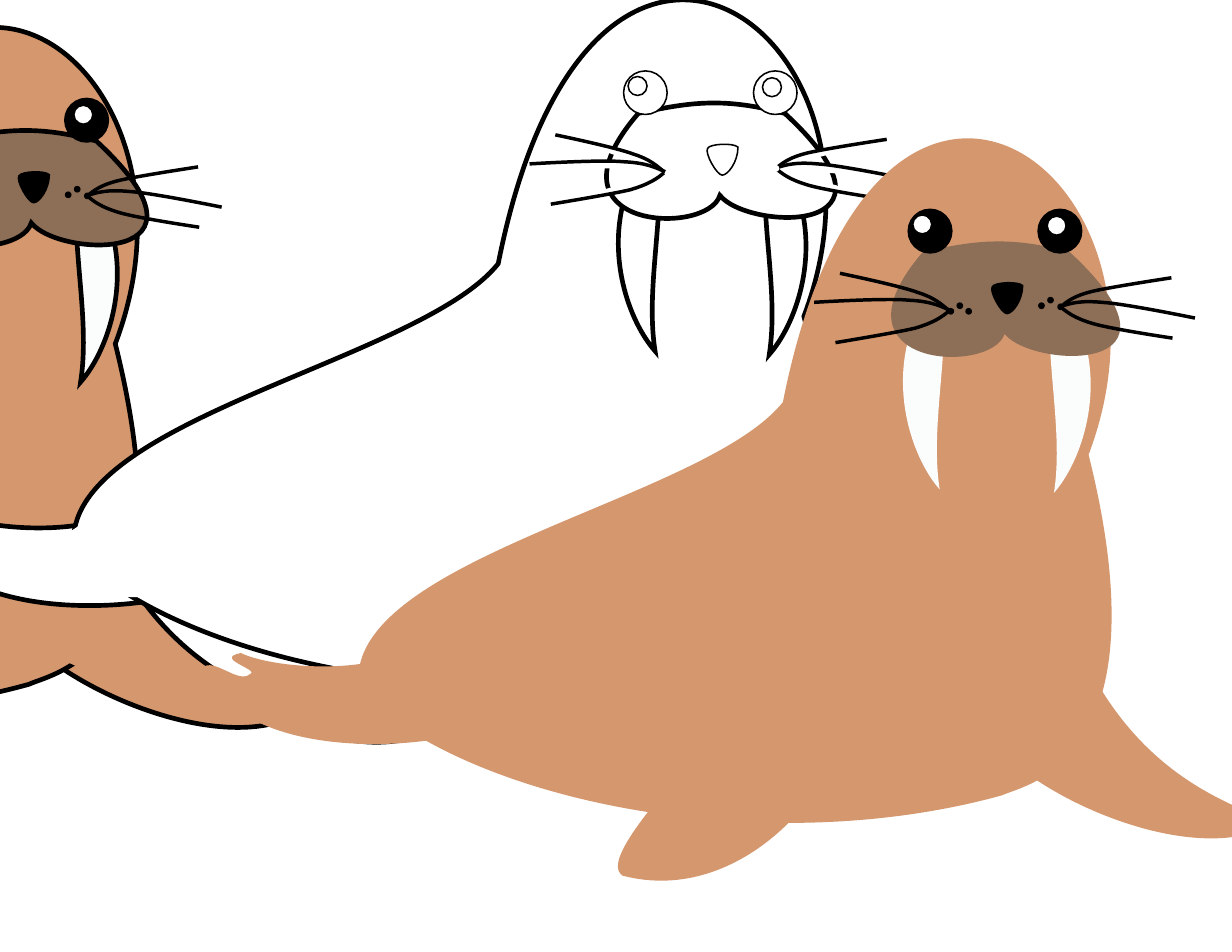
from math import cos, radians, sin

from lxml.etree import SubElement as Sub
from pptx import Presentation
from pptx.dml.color import RGBColor as RGB
from pptx.enum.shapes import MSO_SHAPE as Kind
from pptx.oxml.ns import qn
from pptx.util import Pt

HUES = {"skin": "D4976E", "snout": "8D6E56", "tusk": "FBFCFC",
        "black": "000000", "white": "FFFFFF"}

# Each herd member: shift from the front walrus, outline width, coloured or not
HERD = [
    {"shift": (-625.7, -71.3), "edge": 3, "plain": False},
    {"shift": (-183, -89), "edge": 3, "plain": True},
    {"shift": (0, 0), "edge": 0, "plain": False},
]

# Outlines: hue, box, turn, start, then steps (2 numbers: line, 6: curve)
LIMBS = [
    ("skin", (637.2, 439.2, 172.1, 105.1), 354.8, (810.7, 533.5), [
        (827.3, 520.6, 755.3, 522.7, 706.3, 440.6), (635, 472.3),
        (657.4, 508.3, 756.7, 555.1, 810.7, 533.5)]),
    ("skin", (130.3, 412.6, 179.3, 65.5), 0, (309.6, 412.6), [
        (268.6, 412.6), (245.5, 434.2, 177.8, 430.6, 154.8, 419.8),
        (136.8, 423.4, 167.8, 430.6, 160.6, 433.4),
        (153.4, 439.9, 137.5, 422.6, 130.3, 429.1),
        (156.2, 493.9, 286.6, 481, 309.6, 466.6)]),
]
BODY = [
    ("skin", (230.4, 88.6, 483.8, 439.9), 0, (699.8, 292.3), [
        (769.7, 108.7, 562.3, -38.9, 503.3, 258.5),
        (452.2, 322.6, 214.6, 360, 231.1, 445),
        (303.1, 515.5, 491, 553.7, 644.4, 511.2),
        (659.5, 504, 749.5, 491, 699.8, 292.3)]),
]
TUSKS = [
    ("tusk", (581, 208.8, 39.6, 105.1), 163.6, (586.1, 211), [
        (571.7, 252.7, 587.5, 295.9, 604.1, 314.6),
        (599, 282.2, 606.2, 245.5, 607, 211)]),
    ("tusk", (661, 211, 39.6, 105.1), 196.4, (695.5, 213.1), [
        (709.9, 254.9, 694.1, 298.1, 677.5, 316.8),
        (682.6, 284.4, 675.4, 247.7, 674.6, 213.1)]),
]
FRONT = [
    ("skin", (397.4, 458.6, 144, 108), 0, (400.3, 563), [
        (383, 551.5, 444.2, 493.2, 466.6, 458.6), (541.4, 465.8),
        (540.7, 502.6, 478.1, 583.2, 400.3, 563)]),
    ("snout", (572.4, 155.5, 147.6, 74.2), 0, (687.6, 162), [
        (650.2, 151.9, 627.8, 154.1, 593.3, 162),
        (528.5, 236.9, 637.9, 241.2, 645.8, 214.6),
        (663.1, 236.9, 774, 241.9, 687.6, 162)]),
]
NOSE = ("black", (637.2, 181.4, 20.2, 20.2), 180, (637.9, 184.3), [
    (635.8, 187.2, 643.7, 201.6, 647.3, 201.6),
    (650.9, 201.6, 657.4, 193, 657.4, 183.6),
    (654.5, 180.7, 639.4, 181.4, 637.9, 184.3)])
# Borderless patches that hide the seams between limbs and body
SEAMS = [
    ("skin", (428.4, 410.4, 144, 108), 56.2, (419.8, 435.6), [
        (419.8, 414, 502.6, 433.4, 543.6, 432), (579.6, 498.2),
        (548.6, 518.4, 446.4, 511.2, 419.8, 435.6)]),
    ("skin", (223.2, 378.7, 144, 108), 22.1, (212.4, 453.6), [
        (200.2, 436.3, 279.4, 405.4, 313.2, 381.6), (379.4, 416.2),
        (365, 450.7, 276.5, 501.1, 212.4, 453.6)]),
    ("skin", (601.2, 426.2, 144, 78.5), 55.3, (603.4, 429.8), [
        (600.5, 410.4, 670.3, 437, 704.2, 440.6), (742.3, 505.4),
        (719.3, 520.6, 635.8, 501.8, 603.4, 429.8)]),
]
WHISKERS = [
    (None, (538.6, 183.6, 74.2, 6.5), 15.2, (609.8, 199.4), [
        (605.5, 195.8, 601.2, 191.5, 589.7, 187.9),
        (578.2, 183.6, 540, 175.7, 540, 175.7)]),
    (None, (523.4, 192.2, 87.1, 7.2), 0, (610.6, 199.4), [
        (604.1, 196.6, 598.3, 193.7, 583.9, 193),
        (569.5, 191.5, 523.4, 194.4, 523.4, 194.4)]),
    (None, (536.4, 207.4, 74.9, 6.5), 348.3, (609.8, 200.2), [
        (605.5, 203.8, 600.5, 207.4, 588.2, 211),
        (576.7, 213.8, 537.1, 220.3, 537.1, 220.3)]),
    (None, (680.4, 184.3, 74.2, 6.5), 349.2, (681.8, 197.3), [
        (686.2, 193.7, 690.5, 190.1, 702.7, 187.2),
        (715, 184.3, 753.1, 178.6, 753.1, 178.6)]),
    (None, (681.1, 196.6, 87.1, 7.2), 8.5, (681.1, 197.3), [
        (687.6, 195.1, 694.1, 193, 708.5, 194.4),
        (722.9, 195.1, 768.2, 204.5, 768.2, 204.5)]),
    (None, (679.7, 205.2, 74.9, 6.5), 11.7, (681.8, 197.3), [
        (686.2, 200.9, 690.5, 204.5, 702.7, 208.1),
        (715, 211.7, 753.8, 217.4, 753.8, 217.4)]),
]
# Discs: hue, size, line width, corners
EYES = [
    ("black", 28, 1, [(583.9, 134.6), (667.4, 134.6)]),
    ("white", 12.2, 1, [(673.2, 139), (586.8, 138.2)]),
    ("black", 4.3, 0, [(609.1, 198), (620.6, 198), (614.9, 194.4),
                       (667.4, 194.4), (673.2, 190.8)]),
]
LAST = ("black", 4.3, 0, [(679.7, 195.1)])


def paint(shape, hue, edge):
    shape.shadow.inherit = False
    if hue:
        shape.fill.solid()
        shape.fill.fore_color.rgb = RGB.from_string(HUES[hue])
    else:
        shape.fill.background()
    if edge:
        shape.line.color.rgb = RGB.from_string(HUES["black"])
        shape.line.width = Pt(edge)
        Sub(shape.element.xpath(".//a:ln")[0], qn("a:miter"), lim="800000")
    else:
        shape.line.fill.background()


def curve(shapes, part, beast, edge, shut=True):
    """Draw one outline, its points turned back into the box's own frame."""
    hue, (x, y, w, h), turn, start, steps = part
    dx, dy = beast["shift"]
    if x + dx + w <= 0:
        return
    c, s = cos(radians(turn)), sin(radians(turn))

    def local(px, py):
        u, v = px - x - w / 2, py - y - h / 2
        return Pt(u * c + v * s + w / 2), Pt(v * c - u * s + h / 2)

    pen = shapes.build_freeform(0, 0)
    pen.add_line_segments([(Pt(w), Pt(h))], close=shut)
    shape = pen.convert_to_shape()
    shape.left, shape.top = Pt(x + dx), Pt(y + dy)
    shape.width, shape.height = Pt(w), Pt(h)
    shape.rotation = turn
    route = shape.element.xpath(".//a:path")[0]
    for old in list(route):
        route.remove(old)
    route.set("w", str(Pt(w)))
    route.set("h", str(Pt(h)))
    tags = {2: "a:lnTo", 6: "a:cubicBezTo"}
    for tag, step in [("a:moveTo", start)] + [(tags[len(q)], q) for q in steps]:
        node = Sub(route, qn(tag))
        for px, py in zip(step[::2], step[1::2]):
            a, b = local(px, py)
            Sub(node, qn("a:pt"), x=str(a), y=str(b))
    if shut:
        Sub(route, qn("a:close"))
    paint(shape, "white" if beast["plain"] else hue, edge)


def discs(shapes, row, beast):
    hue, size, edge, spots = row
    dx, dy = beast["shift"]
    for x, y in spots:
        if x + dx + size > 0:
            disc = shapes.add_shape(Kind.OVAL, Pt(x + dx), Pt(y + dy),
                                    Pt(size), Pt(size))
            paint(disc, "white" if beast["plain"] else hue, edge)


def walrus(shapes, beast):
    for part in LIMBS + BODY + TUSKS + FRONT:
        curve(shapes, part, beast, beast["edge"])
    curve(shapes, NOSE, beast, 1)
    for row in EYES:
        discs(shapes, row, beast)
    for part in SEAMS:
        curve(shapes, part, beast, 0)
    for part in WHISKERS:
        curve(shapes, part, beast, 2.25, shut=False)
    discs(shapes, LAST, beast)


def main():
    deck = Presentation()
    deck.slide_width, deck.slide_height = Pt(792), Pt(612)
    slide = deck.slides.add_slide(deck.slide_layouts[6])
    for beast in HERD:
        walrus(slide.shapes.add_group_shape().shapes, beast)
    deck.save("out.pptx")


if __name__ == "__main__":
    main()
